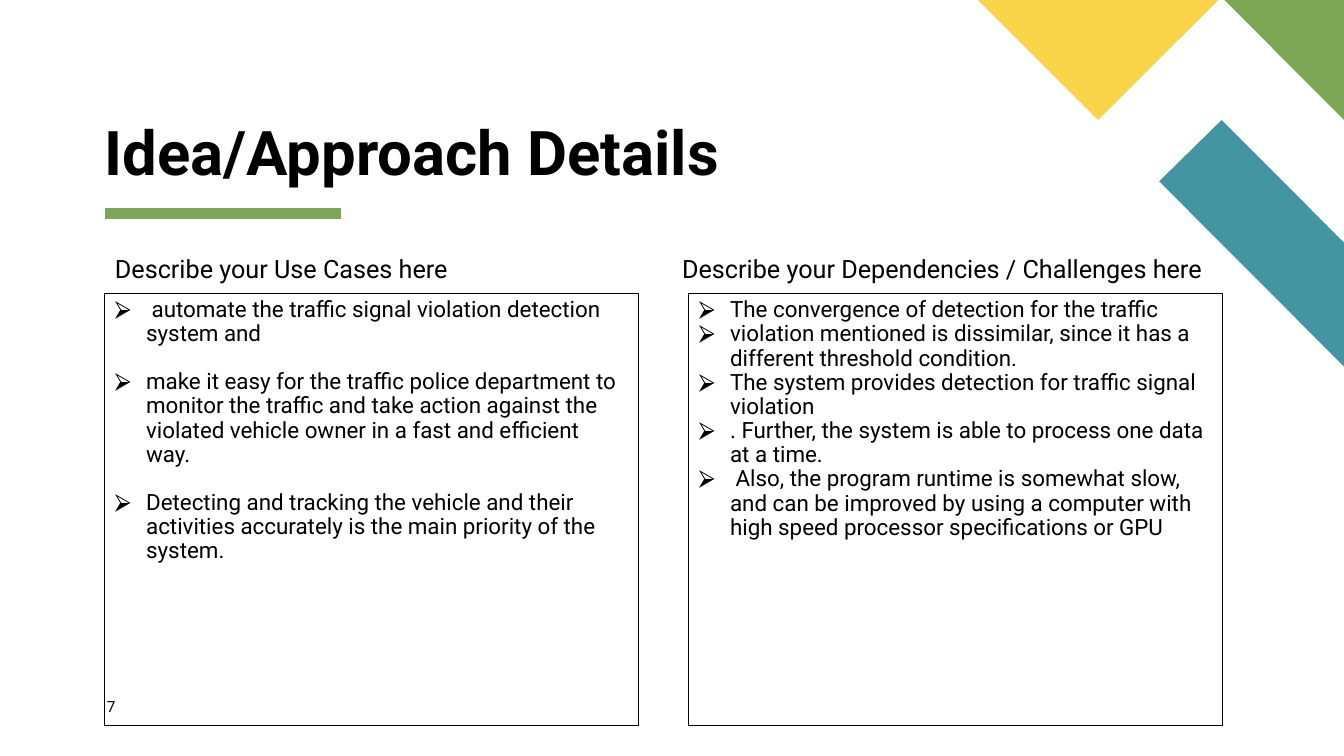
from lxml import etree
from pptx import Presentation
from pptx import util as u
from pptx.dml.color import RGBColor
from pptx.enum import shapes, text
from pptx.oxml import ns

BLACK = RGBColor(0x00, 0x00, 0x00)
GREEN = RGBColor(0x7C, 0xA6, 0x55)
TEAL = RGBColor(0x44, 0x95, 0xA2)
YELLOW = RGBColor(0xF9, 0xD4, 0x48)

LEFT_EDGE = 7.8
BOX_WIDTH = 39.7
HEADING_TOP, HEADING_HEIGHT = 33.33, 4.67
BOX_TOP, BOX_HEIGHT = 38.8, 57.2

USE_CASES = [
    " automate the traffic signal violation detection system and",
    "make it easy for the traffic police department to monitor the traffic and take action "
    "against the violated vehicle owner in a fast and efficient way.",
    "Detecting and tracking the vehicle and their activities accurately is the main priority "
    "of the system.",
]
CHALLENGES = [
    "The convergence of detection for the traffic",
    "violation mentioned is dissimilar, since it has a different threshold condition.",
    "The system provides detection for traffic signal violation",
    ". Further, the system is able to process one data at a time.",
    " Also, the program runtime is somewhat slow, and can be improved by using a computer "
    "with high speed processor specifications or GPU",
]


def write_text(paragraph, content, font="Roboto", size=16, bold=False, color=BLACK,
               line_spacing=0.9, gap=0, hanging=0, bullet=None):
    paragraph.alignment = text.PP_ALIGN.LEFT
    paragraph.line_spacing = line_spacing
    paragraph.space_before = u.Pt(0)
    paragraph.space_after = u.Pt(gap)
    run = paragraph.add_run()
    run.text = content
    run.font.name = font
    run.font.size = u.Pt(size)
    run.font.bold = bold
    run.font.color.rgb = color
    properties = paragraph._p.get_or_add_pPr()
    properties.set("marL", str(u.Inches(hanging)))
    properties.set("indent", str(-u.Inches(hanging)))
    if bullet:
        bullet_color = etree.SubElement(properties, ns.qn("a:buClr"))
        etree.SubElement(bullet_color, ns.qn("a:srgbClr"), val=str(color))
        etree.SubElement(properties, ns.qn("a:buChar"), char=bullet)
    else:
        etree.SubElement(properties, ns.qn("a:buNone"))


class SlideBuilder:
    def __init__(self, presentation, layout_index):
        self.width = presentation.slide_width
        self.height = presentation.slide_height
        layout = presentation.slide_layouts[layout_index]
        self.slide = presentation.slides.add_slide(layout)

    def x(self, share):
        return round(self.width * share / 100)

    def y(self, share):
        return round(self.height * share / 100)

    def area(self, left, top, width, height):
        return self.x(left), self.y(top), self.x(width), self.y(height)

    def frame(self, shape, anchor=text.MSO_ANCHOR.TOP, inset=(0.1, 0.05)):
        frame = shape.text_frame
        frame.word_wrap = True
        frame.auto_size = text.MSO_AUTO_SIZE.NONE
        frame.vertical_anchor = anchor
        frame.margin_left = frame.margin_right = u.Inches(inset[0])
        frame.margin_top = frame.margin_bottom = u.Inches(inset[1])
        return frame

    def placeholder(self, index, *area):
        shape = self.slide.placeholders[index]
        shape.left, shape.top, shape.width, shape.height = self.area(*area)
        return shape

    def title(self, content, *area):
        frame = self.frame(self.placeholder(0, *area), text.MSO_ANCHOR.BOTTOM, (0, 0))
        write_text(frame.paragraphs[0], content, size=44, bold=True)

    def heading(self, index, content, left, width):
        shape = self.placeholder(index, left, HEADING_TOP, width, HEADING_HEIGHT)
        write_text(self.frame(shape).paragraphs[0], content, size=18, hanging=0.25)

    def bullet_box(self, index, items, left, gap=0):
        shape = self.placeholder(index, left, BOX_TOP, BOX_WIDTH, BOX_HEIGHT)
        shape.line.color.rgb = BLACK
        shape.line.width = u.Pt(0.75)
        frame = self.frame(shape)
        for number, item in enumerate(items):
            paragraph = frame.add_paragraph() if number else frame.paragraphs[0]
            write_text(paragraph, item, gap=gap, hanging=0.31, bullet="⮚")

    def label(self, content, *area):
        shape = self.slide.shapes.add_textbox(*self.area(*area))
        frame = self.frame(shape, inset=(0, 0))
        write_text(frame.paragraphs[0], content, size=11, line_spacing=1)

    def polygon(self, color, *corners):
        points = [(self.x(across), self.y(down)) for across, down in corners]
        builder = self.slide.shapes.build_freeform(*points[0])
        builder.add_line_segments(points[1:], close=True)
        shape = builder.convert_to_shape()
        shape.shadow.inherit = False
        shape.fill.solid()
        shape.fill.fore_color.rgb = color
        shape.line.fill.background()

    def rule(self, color, left, right, level, weight):
        connector = self.slide.shapes.add_connector(
            shapes.MSO_CONNECTOR.STRAIGHT,
            self.x(left), self.y(level), self.x(right), self.y(level))
        connector.line.color.rgb = color
        connector.line.width = u.Pt(weight)
        etree.SubElement(connector._element.spPr, ns.qn("a:effectLst"))


def main():
    presentation = Presentation()
    presentation.slide_width = u.Inches(13.33)
    presentation.slide_height = u.Inches(7.5)
    page = SlideBuilder(presentation, layout_index=4)

    page.rule(GREEN, LEFT_EDGE, 25.35, 28.27, weight=8)
    page.polygon(TEAL, (100, 48.5), (100, 32.1), (90.9, 15.87), (86.25, 24))
    page.polygon(GREEN, (100, 15.87), (100, 0), (91.1, 0))
    page.polygon(YELLOW, (72.75, 0), (81.7, 15.87), (90.65, 0))

    page.title("Idea/Approach Details", LEFT_EDGE, 16, 47.4, 8.93)
    page.heading(1, "Describe your Use Cases here", LEFT_EDGE, BOX_WIDTH)
    page.bullet_box(2, USE_CASES, LEFT_EDGE, gap=17)
    page.heading(3, "Describe your Dependencies / Challenges here", 50, 42.15)
    page.bullet_box(4, CHALLENGES, 51.25)
    page.label("7", 7.95, 92.27, 4.28, 3.6)

    presentation.save("out.pptx")


if __name__ == "__main__":
    main()
